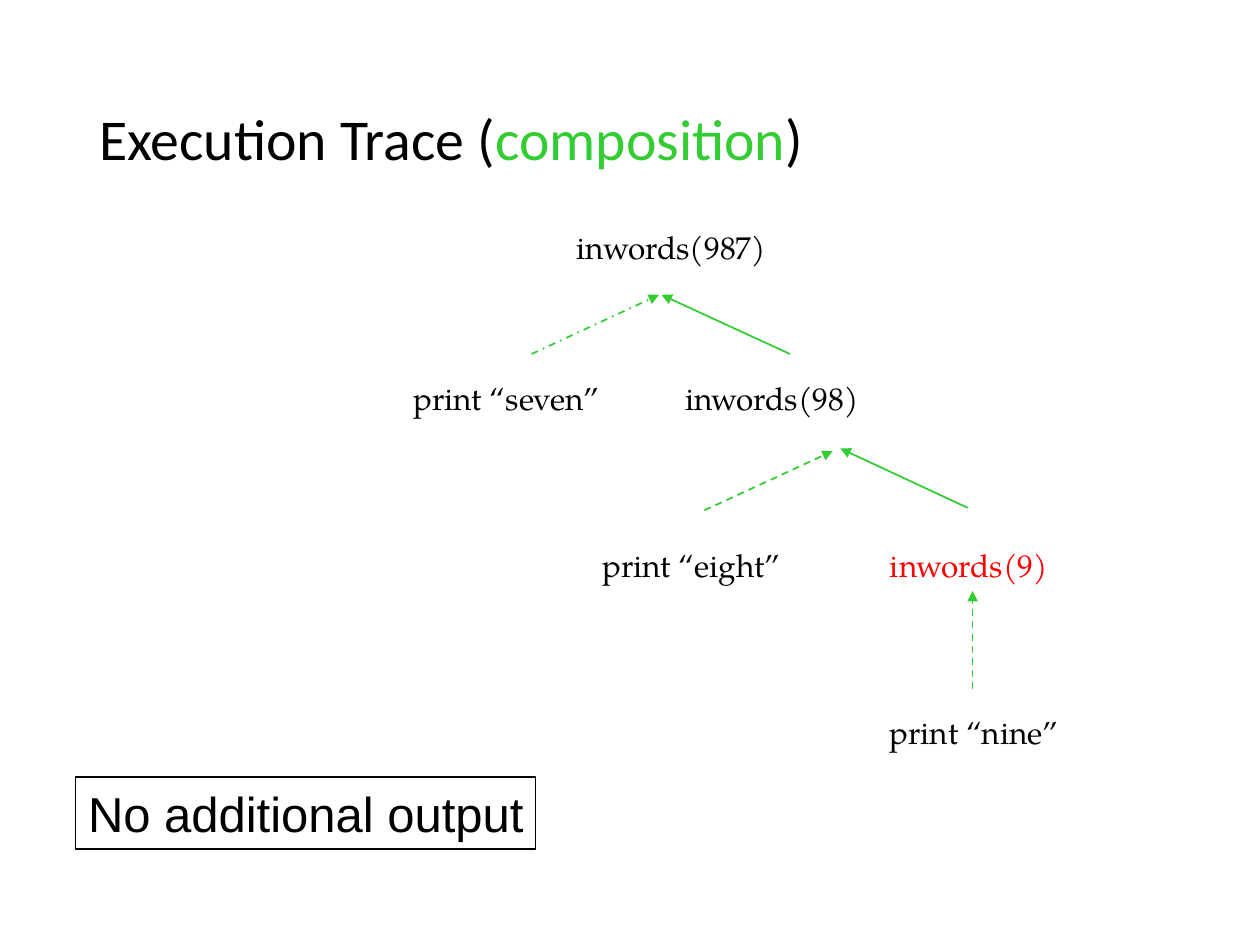
from dataclasses import dataclass

from lxml.etree import SubElement
from pptx import Presentation
from pptx.dml.color import RGBColor
from pptx.enum.dml import MSO_LINE as Dash
from pptx.enum.shapes import MSO_CONNECTOR as Connector
from pptx.enum.text import MSO_ANCHOR as Anchor, PP_ALIGN as Align
from pptx.oxml.ns import qn
from pptx.util import Pt

BLACK, WHITE, RED, GREEN = "000000", "FFFFFF", "FF0000", "33CC33"
TREE_FONT, PLAIN_FONT, TITLE_FONT = "TeX Gyre Pagella", "Arial", "Calibri"


@dataclass(frozen=True)
class Span:
    text: str
    color: str = BLACK
    font: str = TREE_FONT
    size: float = 18


@dataclass(frozen=True)
class Label:
    left: float
    top: float
    width: float
    height: float
    spans: tuple[Span, ...]
    tab: float | None = None
    fill: str | None = None
    border: str | None = None
    spacing: float = 1.0


@dataclass(frozen=True)
class Arrow:
    start: tuple[float, float]
    end: tuple[float, float]
    dash: Dash | None = None


LABELS = (
    Label(49.7, 28.8, 621.4, 104.4, (
        Span("Execution Trace (", BLACK, TITLE_FONT, 33),
        Span("composition", GREEN, TITLE_FONT, 33),
        Span(")", BLACK, TITLE_FONT, 33),
    ), spacing=0.9),
    Label(322.6, 126.7, 127.4, 28.8, (Span("inwords(987)"),)),
    Label(229, 213.1, 283, 28.8, (
        Span("print “seven”"), Span("\t"), Span("inwords(98)"),
    ), tab=155.5),
    Label(337, 298.1, 276.5, 41, (
        Span("print “eight”"),
        Span("\t", BLACK, PLAIN_FONT, 28),
        Span("inwords(9)", RED),
    ), tab=164.5),
    Label(501.1, 403.9, 116.6, 28.8, (Span("print “nine”"),), fill=WHITE),
    Label(43.2, 444.2, 262.8, 41, (
        Span("No additional output", BLACK, PLAIN_FONT, 28),
    ), border=BLACK),
)

ARROWS = (
    Arrow((451.4, 202.3), (378, 168.5)),
    Arrow((303.8, 202.3), (376.6, 168.5), Dash.DASH_DOT),
    Arrow((402.5, 291.6), (475.9, 257.8), Dash.DASH),
    Arrow((553, 290.2), (480.2, 256.3)),
    Arrow((555.8, 393.8), (555.8, 337.7), Dash.DASH),
)


def paint(color_format, color: str) -> None:
    color_format.rgb = RGBColor.from_string(color)


def add_label(page, label: Label) -> None:
    box = page.shapes.add_textbox(
        Pt(label.left), Pt(label.top), Pt(label.width), Pt(label.height))
    if label.fill:
        box.fill.solid()
        paint(box.fill.fore_color, label.fill)
    if label.border:
        paint(box.line.color, label.border)
        box.line.width = Pt(1)
    frame = box.text_frame
    frame.word_wrap = True
    frame.vertical_anchor = Anchor.MIDDLE
    frame.margin_right = 0
    para = frame.paragraphs[0]
    para.alignment = Align.LEFT
    para.line_spacing = label.spacing
    if label.tab is not None:
        tabs = SubElement(para._p.get_or_add_pPr(), qn("a:tabLst"))
        SubElement(tabs, qn("a:tab"), pos=str(Pt(label.tab)), algn="l")
    for span in label.spans:
        run = para.add_run()
        run.text = span.text
        run.font.name = span.font
        run.font.size = Pt(span.size)
        paint(run.font.color, span.color)


def add_arrow(page, arrow: Arrow) -> None:
    ends = (Pt(value) for value in arrow.start + arrow.end)
    connector = page.shapes.add_connector(Connector.STRAIGHT, *ends)
    line = connector.line
    paint(line.color, GREEN)
    line.width = Pt(1)
    if arrow.dash is not None:
        line.dash_style = arrow.dash
    properties = connector._element.spPr
    SubElement(properties.find(qn("a:ln")), qn("a:tailEnd"), type="triangle")
    SubElement(properties, qn("a:effectLst"))


def main() -> None:
    deck = Presentation()
    deck.slide_width, deck.slide_height = Pt(720), Pt(540)
    page = deck.slides.add_slide(deck.slide_layouts[6])
    for label in LABELS:
        add_label(page, label)
    for arrow in ARROWS:
        add_arrow(page, arrow)
    deck.save("out.pptx")


if __name__ == "__main__":
    main()
